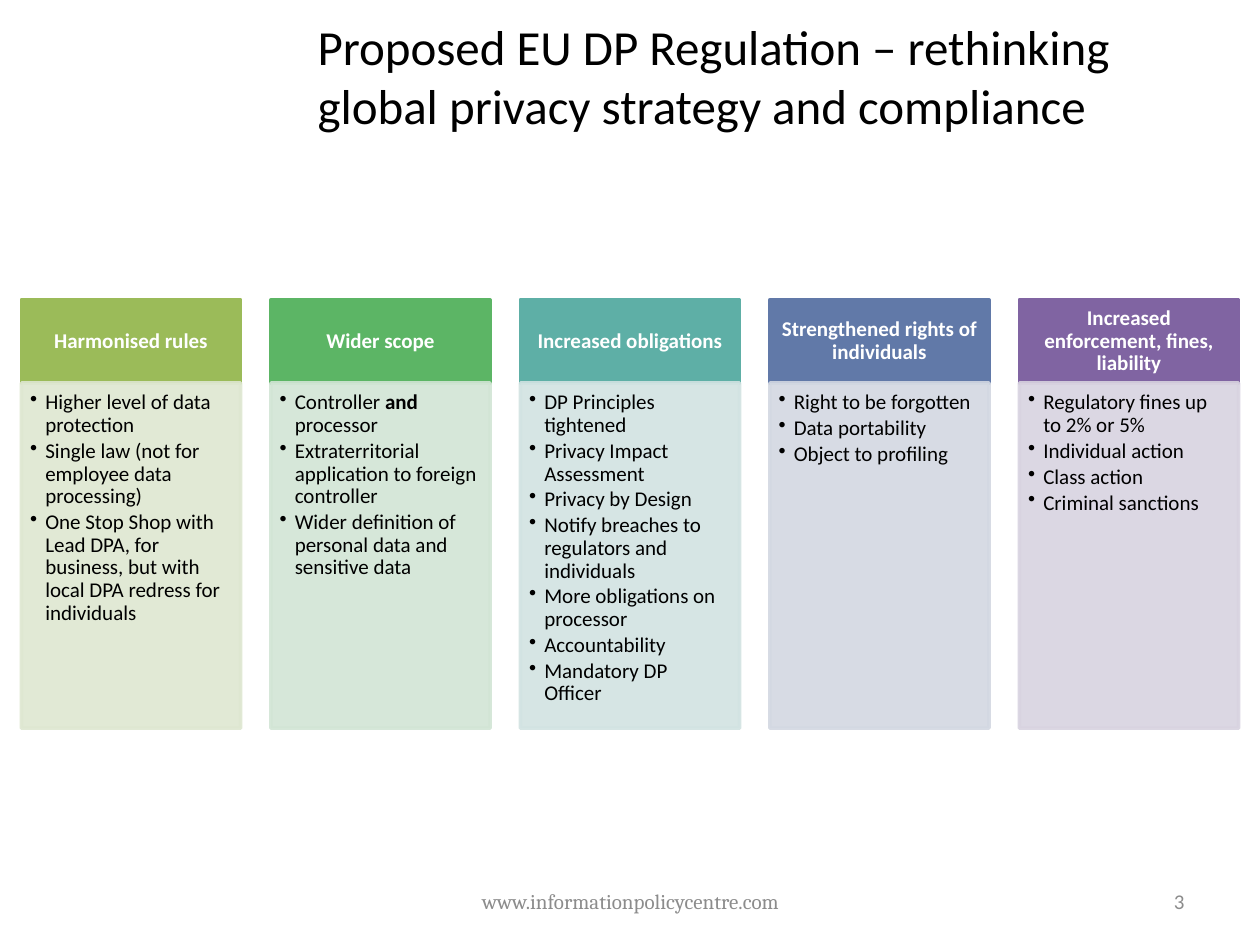
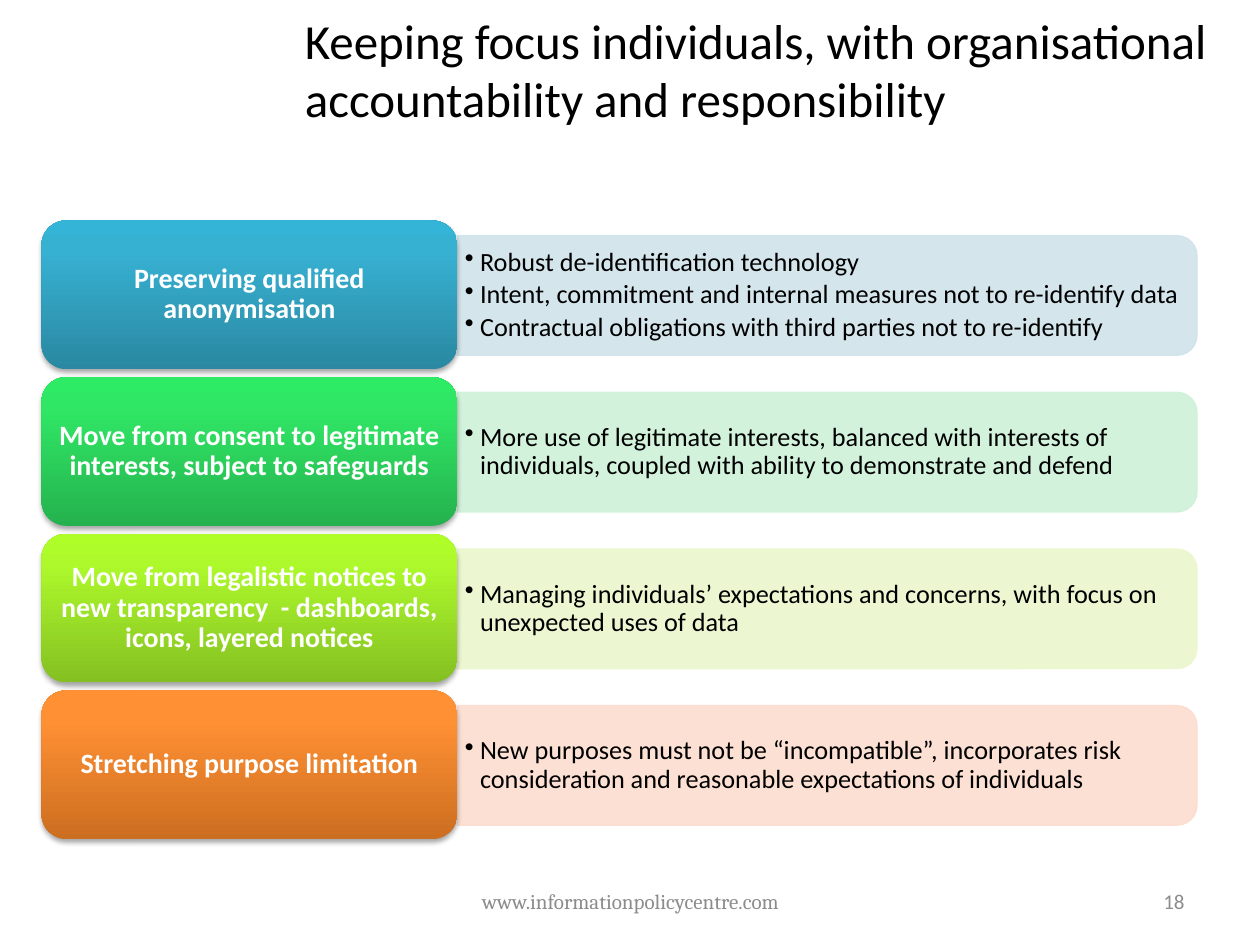
from dataclasses import dataclass
from typing import Any

import pptx
import pptx.dml.color
import pptx.enum.shapes
import pptx.enum.text
import pptx.oxml
import pptx.oxml.ns
import pptx.util

Inches = pptx.util.Inches
Pt = pptx.util.Pt
MSO_SHAPE = pptx.enum.shapes.MSO_SHAPE
PP_ALIGN = pptx.enum.text.PP_ALIGN
ANCHOR = pptx.enum.text.MSO_ANCHOR
qn = pptx.oxml.ns.qn
DRAWING_NS = pptx.oxml.ns.nsdecls("a")

COLOURS = {
    "ink": "000000",
    "paper": "FFFFFF",
    "footer": "8C8C8C",
    "rules": "9BBB59",
    "rules_tint": "DEE7D1",
    "scope": "5CB565",
    "scope_tint": "D2E5D5",
    "obligations": "5EAFA6",
    "obligations_tint": "D2E3E2",
    "rights": "6179A8",
    "rights_tint": "D3D8E2",
    "enforcement": "8064A2",
    "enforcement_tint": "D8D3E0",
    "anonymity_dark": "2A88A2",
    "anonymity_mid": "37B1D2",
    "anonymity_light": "34B4D6",
    "anonymity_tint": "D0E3EA",
    "consent_dark": "25B24E",
    "consent_mid": "30E765",
    "consent_light": "2DEB64",
    "consent_tint": "CFF1D9",
    "notices_dark": "85C022",
    "notices_mid": "ADF92C",
    "notices_light": "AFFE28",
    "notices_tint": "EBF7CE",
    "purpose_dark": "CC6E20",
    "purpose_mid": "FF9034",
    "purpose_light": "FF9136",
    "purpose_tint": "FCDDCF",
}
GRADIENT_STOPS = {"dark": 0, "mid": 80, "light": 100}
TINT_OPACITY = 90
BULLET_INDENT = 0.12
WEBSITE = "www.informationpolicycentre.com"


@dataclass(frozen=True)
class Box:
    left: float
    top: float
    width: float
    height: float

    def lengths(self) -> list[int]:
        return [Inches(v) for v in (self.left, self.top, self.width, self.height)]

    def turned(self) -> "Box":
        shift = (self.width - self.height) / 2
        return Box(self.left + shift, self.top - shift, self.height, self.width)


@dataclass(frozen=True)
class TextStyle:
    size: float
    colour: str = "ink"
    bold: bool = False
    face: str = "Calibri"
    align: Any = PP_ALIGN.LEFT
    anchor: Any = ANCHOR.MIDDLE
    insets: tuple[float, float, float, float] = (0.1, 0.05, 0.1, 0.05)
    spacing: float = 1.0
    bulleted: bool = False


@dataclass(frozen=True)
class Topic:
    colour: str
    heading: str
    points: tuple[str, ...]


TITLE = TextStyle(28, anchor=ANCHOR.TOP)
FOOTER = TextStyle(12, "footer", face="Cambria", align=PP_ALIGN.CENTER)
PAGE_NUMBER = TextStyle(12, "footer", align=PP_ALIGN.RIGHT)
COLUMN_HEADING = TextStyle(12, "paper", True, align=PP_ALIGN.CENTER,
                           insets=(0.09, 0.05, 0.09, 0.05), spacing=0.9)
COLUMN_POINTS = TextStyle(12, anchor=ANCHOR.TOP, insets=(0.07, 0.07, 0.09, 0.1),
                          spacing=0.9, bulleted=True)
ROW_HEADING = TextStyle(16, "paper", True, align=PP_ALIGN.CENTER,
                        insets=(0.07, 0.03, 0.07, 0.03), spacing=0.9)
ROW_POINTS = TextStyle(15, insets=(0.06, 0.03, 0.06, 0.03), spacing=0.9, bulleted=True)

REGULATION_CHANGES = (
    Topic("rules", "Harmonised rules", (
        "Higher level of data protection",
        "Single law (not for employee data processing)",
        "One Stop Shop with Lead DPA, for business, but with local DPA redress for individuals",
    )),
    Topic("scope", "Wider scope", (
        "Controller **and** processor",
        "Extraterritorial application to foreign controller",
        "Wider definition of personal data and sensitive data",
    )),
    Topic("obligations", "Increased obligations", (
        "DP Principles tightened",
        "Privacy Impact Assessment",
        "Privacy by Design",
        "Notify breaches to regulators and individuals",
        "More obligations on processor",
        "Accountability",
        "Mandatory DP Officer",
    )),
    Topic("rights", "Strengthened rights of individuals", (
        "Right to be forgotten",
        "Data portability",
        "Object to profiling",
    )),
    Topic("enforcement", "Increased enforcement, fines, liability", (
        "Regulatory fines up to 2% or 5%",
        "Individual action",
        "Class action",
        "Criminal sanctions",
    )),
)
ACCOUNTABILITY_STEPS = (
    Topic("anonymity", "Preserving qualified anonymisation", (
        "Robust de-identification technology",
        "Intent, commitment and internal measures not to re-identify data",
        "Contractual obligations with third parties not to re-identify",
    )),
    Topic("consent", "Move from consent to legitimate interests, subject to safeguards", (
        "More use of legitimate interests, balanced with interests of individuals, "
        "coupled with ability to demonstrate and defend",
    )),
    Topic("notices", "Move from legalistic notices to new transparency  - dashboards, "
          "icons, layered notices", (
        "Managing individuals’ expectations and concerns, with focus on unexpected uses of data",
    )),
    Topic("purpose", "Stretching purpose limitation", (
        "New purposes must not be “incompatible”, incorporates risk consideration "
        "and reasonable expectations of individuals",
    )),
)


def apply(target: Any, formats: dict[str, Any]) -> None:
    for attribute, value in formats.items():
        setattr(target, attribute, value)


def rgb(colour: str) -> pptx.dml.color.RGBColor:
    return pptx.dml.color.RGBColor.from_string(COLOURS[colour])


def add_bullet(paragraph: Any) -> None:
    properties = paragraph._p.get_or_add_pPr()
    properties.set("marL", str(Inches(BULLET_INDENT)))
    properties.set("indent", str(-Inches(BULLET_INDENT)))
    properties.append(pptx.oxml.parse_xml(f'<a:buChar {DRAWING_NS} char="•"/>'))


def write(shape: Any, lines: tuple[str, ...], style: TextStyle) -> None:
    frame = shape.text_frame
    left, top, right, bottom = (Inches(inset) for inset in style.insets)
    apply(frame, {
        "word_wrap": True, "auto_size": pptx.enum.text.MSO_AUTO_SIZE.NONE,
        "vertical_anchor": style.anchor, "margin_left": left, "margin_top": top,
        "margin_right": right, "margin_bottom": bottom,
    })
    for index, line in enumerate(lines):
        paragraph = frame.add_paragraph() if index else frame.paragraphs[0]
        apply(paragraph, {
            "alignment": style.align, "line_spacing": style.spacing,
            "space_before": Pt(0),
            "space_after": Pt(0.15 * style.size if style.bulleted else 0),
        })
        if style.bulleted:
            add_bullet(paragraph)
        for part, words in enumerate(line.split("**")):
            run = paragraph.add_run()
            run.text = words
            apply(run.font, {"name": style.face, "size": Pt(style.size),
                             "bold": style.bold or part % 2 == 1})
            run.font.color.rgb = rgb(style.colour)


def add_text(slide: Any, box: Box, lines: tuple[str, ...], style: TextStyle) -> None:
    write(slide.shapes.add_textbox(*box.lengths()), lines, style)


def add_panel(slide: Any, kind: Any, box: Box, colour: str, line_width: float,
              opacity: int = 100) -> Any:
    panel = slide.shapes.add_shape(kind, *box.lengths())
    panel.shadow.inherit = False
    panel.line.width = Pt(line_width)
    for fill in (panel.fill, panel.line.fill):
        fill.solid()
        fill.fore_color.rgb = rgb(colour)
    if opacity < 100:
        for tint in panel._element.spPr.iter(qn("a:srgbClr")):
            tint.append(pptx.oxml.parse_xml(f'<a:alpha {DRAWING_NS} val="{opacity * 1000}"/>'))
    return panel


def add_glossy_label(slide: Any, box: Box, colour: str) -> Any:
    label = slide.shapes.add_shape(MSO_SHAPE.ROUNDED_RECTANGLE, *box.lengths())
    label.line.fill.background()
    label.fill.gradient()
    label.fill.gradient_angle = 90
    stops = label._element.spPr.find(f".//{qn('a:gsLst')}")
    for stop in list(stops):
        stops.remove(stop)
    for shade, position in GRADIENT_STOPS.items():
        stops.append(pptx.oxml.parse_xml(
            f'<a:gs {DRAWING_NS} pos="{position * 1000}">'
            f'<a:srgbClr val="{COLOURS[f"{colour}_{shade}"]}"/></a:gs>'))
    label.shadow.inherit = False
    label._element.spPr.find(qn("a:effectLst")).append(pptx.oxml.parse_xml(
        f'<a:outerShdw {DRAWING_NS} blurRad="{Pt(3.1)}" dist="{Pt(1.8)}" dir="5400000" '
        f'rotWithShape="0"><a:srgbClr val="{COLOURS["ink"]}"><a:alpha val="35000"/>'
        '</a:srgbClr></a:outerShdw>'))
    return label


def start_slide(deck: Any, title: str, title_box: Box, number: int) -> Any:
    slide = deck.slides.add_slide(deck.slide_layouts.get_by_name("Title Only"))
    heading = slide.shapes.title
    apply(heading, dict(zip(("left", "top", "width", "height"), title_box.lengths())))
    write(heading, (title,), TITLE)
    add_text(slide, Box(3.42, 6.95, 3.17, 0.4), (WEBSITE,), FOOTER)
    add_text(slide, Box(7.17, 6.95, 2.33, 0.4), (str(number),), PAGE_NUMBER)
    return slide


def add_column(slide: Any, index: int, topic: Topic) -> None:
    left = 0.17 + index * 1.98
    heading = add_panel(slide, MSO_SHAPE.RECTANGLE, Box(left, 2.38, 1.74, 0.66),
                        topic.colour, 2)
    write(heading, (topic.heading,), COLUMN_HEADING)
    body = add_panel(slide, MSO_SHAPE.RECTANGLE, Box(left, 3.04, 1.74, 2.74),
                     f"{topic.colour}_tint", 2, TINT_OPACITY)
    write(body, topic.points, COLUMN_POINTS)


def add_row(slide: Any, index: int, topic: Topic) -> None:
    first_top, last_top = 1.75, 5.48
    top = first_top + index * (last_top - first_top) / (len(ACCOUNTABILITY_STEPS) - 1)
    band = add_panel(slide, MSO_SHAPE.ROUND_2_SAME_RECTANGLE,
                     Box(3.63, top + 0.12, 5.87, 0.95).turned(),
                     f"{topic.colour}_tint", 0.75, TINT_OPACITY)
    band.rotation = 90
    add_text(slide, Box(3.63, top + 0.17, 5.82, 0.85), topic.points, ROW_POINTS)
    label = add_glossy_label(slide, Box(0.33, top, 3.3, 1.18), topic.colour)
    write(label, (topic.heading,), ROW_HEADING)


def main() -> None:
    deck = pptx.Presentation()
    apply(deck, {"slide_width": Inches(10), "slide_height": Inches(7.5)})
    regulation = start_slide(
        deck, "Proposed EU DP Regulation – rethinking global privacy strategy and compliance",
        Box(2.42, 0.08, 7.25, 1.04), 3)
    for index, topic in enumerate(REGULATION_CHANGES):
        add_column(regulation, index, topic)
    accountability = start_slide(
        deck, "Keeping focus individuals, with organisational accountability and responsibility",
        Box(2.32, 0.03, 7.68, 1.04), 18)
    for index, topic in enumerate(ACCOUNTABILITY_STEPS):
        add_row(accountability, index, topic)
    deck.save("out.pptx")


if __name__ == "__main__":
    main()
